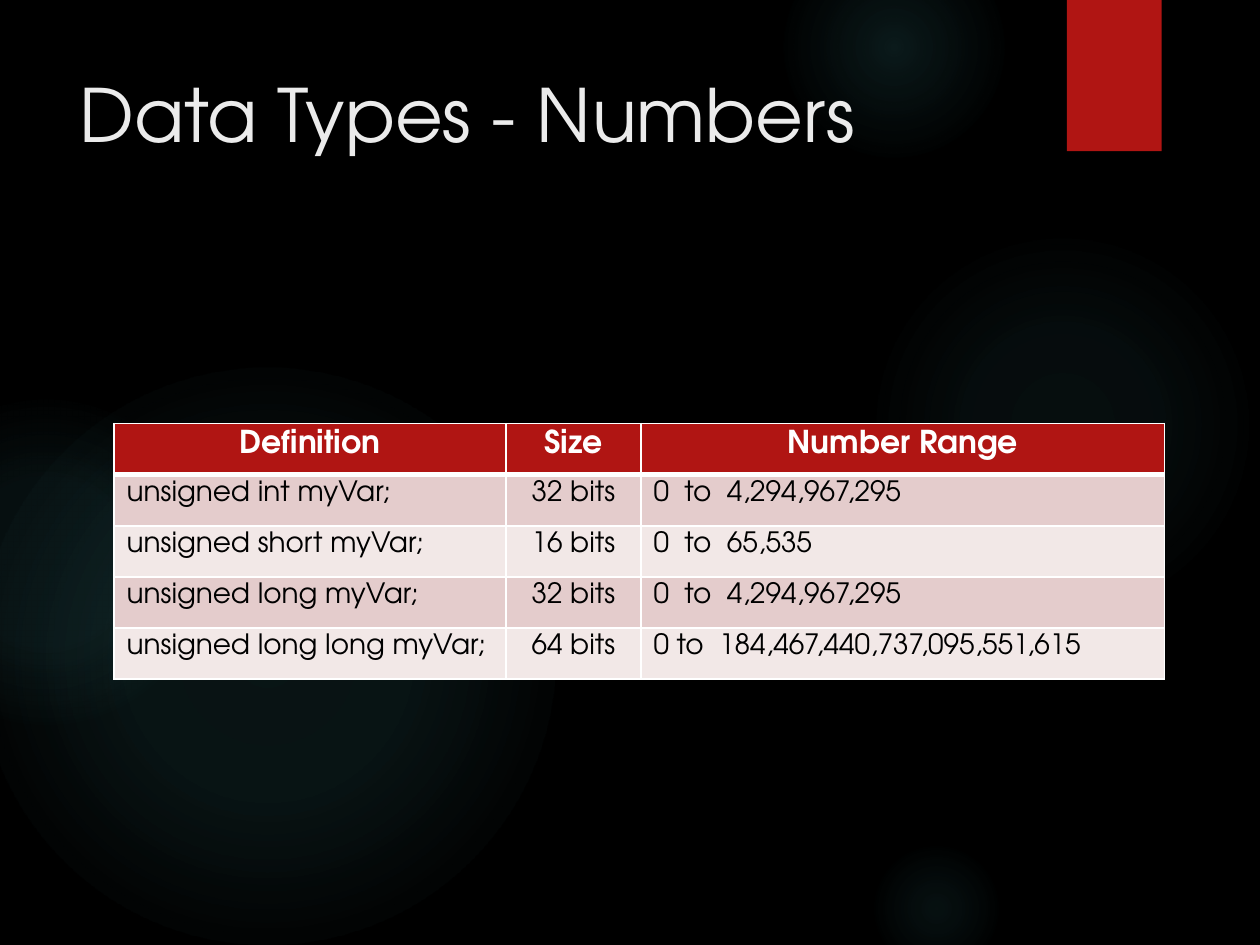
from lxml import etree
from pptx import Presentation
from pptx.dml.color import RGBColor
from pptx.enum.shapes import MSO_SHAPE
from pptx.enum.text import MSO_ANCHOR, PP_ALIGN
from pptx.oxml import parse_xml
from pptx.oxml.ns import nsdecls, qn
from pptx.util import Cm, Pt

ELLIPSE = MSO_SHAPE.OVAL
RECTANGLE = MSO_SHAPE.RECTANGLE
TOP = MSO_ANCHOR.TOP
LEFT, CENTER = PP_ALIGN.LEFT, PP_ALIGN.CENTER

COLORS = {
    "background": "000000",
    "glow": "50B9C1",
    "accent": "B01513",
    "title": "EBEBEB",
    "white": "FFFFFF",
    "body": "000000",
    "odd_row": "E4CCCC",
    "even_row": "F2E8E7",
}

GLOWS = [
    (17.5, 4.65, 7.82, [(0, 7), (36, 6), (69, 0)]),
    (15.8, -1.27, 4.45, [(0, 14), (36, 7), (73, 0)]),
    (17.5, 16.94, 2.74, [(0, 9), (36, 5), (66, 0)]),
    (-0.43, 7.42, 11.63, [(0, 11), (36, 10), (75, 0)]),
    (-2.34, 8.05, 6.55, [(0, 8), (36, 8), (72, 0)]),
]

COLUMN_WIDTHS = [7.9, 2.72, 10.55]
ROW_HEIGHT = 1.03
TABLE_ROWS = [
    ("Definition", "Size", "Number Range"),
    ("unsigned int myVar;", "32 bits", "0  to  4,294,967,295"),
    ("unsigned short myVar;", "16 bits", "0  to  65,535"),
    ("unsigned long myVar;", "32 bits", "0  to  4,294,967,295"),
    ("unsigned long long myVar;", "64 bits", "0 to  184,467,440,737,095,551,615"),
]


def rgb(name):
    return RGBColor.from_string(COLORS[name])


class SlideBuilder:
    font_name = "TeX Gyre Adventor"

    def __init__(self, slide):
        self.slide = slide
        fill = slide.background.fill
        fill.solid()
        fill.fore_color.rgb = rgb("background")

    def add_plain_shape(self, kind, left, top, width, height, color):
        shape = self.slide.shapes.add_shape(kind, Cm(left), Cm(top), Cm(width), Cm(height))
        shape.shadow.inherit = False
        shape.line.fill.background()
        shape.fill.solid()
        shape.fill.fore_color.rgb = rgb(color)
        return shape

    def add_glow(self, left, top, diameter, stops):
        shape = self.add_plain_shape(ELLIPSE, left, top, diameter, diameter, "glow")
        stop_xml = "".join(
            f'<a:gs pos="{position * 1000}"><a:srgbClr val="{COLORS["glow"]}">'
            f'<a:alpha val="{opacity * 1000}"/></a:srgbClr></a:gs>'
            for position, opacity in stops
        )
        gradient = parse_xml(
            f'<a:gradFill {nsdecls("a")} rotWithShape="1"><a:gsLst>{stop_xml}</a:gsLst>'
            '<a:path path="circle"><a:fillToRect l="50000" t="50000" r="50000" b="50000"/>'
            "</a:path></a:gradFill>"
        )
        properties = shape.element.spPr
        properties.replace(properties.find(qn("a:solidFill")), gradient)

    def add_run(self, paragraph, text, size, color, bold=False):
        run = paragraph.add_run()
        run.text = text
        run.font.name = self.font_name
        run.font.size = Pt(size)
        run.font.bold = bold
        run.font.color.rgb = rgb(color)

    def add_title(self, text, left, top, width, height):
        box = self.slide.shapes.add_textbox(Cm(left), Cm(top), Cm(width), Cm(height))
        frame = box.text_frame
        frame.word_wrap = True
        frame.vertical_anchor = TOP
        self.add_run(frame.paragraphs[0], text, 42, "title")

    def set_borders(self, cell, row_index):
        properties = cell._tc.get_or_add_tcPr()
        top_width = 3 if row_index == 1 else 1
        bottom_width = 3 if row_index == 0 else 1
        widths = {"lnL": 1, "lnR": 1, "lnT": top_width, "lnB": bottom_width}
        for tag, width in widths.items():
            line = etree.SubElement(properties, qn(f"a:{tag}"), w=str(Pt(width)))
            fill = etree.SubElement(line, qn("a:solidFill"))
            etree.SubElement(fill, qn("a:srgbClr"), val=COLORS["white"])

    def fill_cell(self, cell, text, row_index, column_index):
        header = row_index == 0
        self.set_borders(cell, row_index)
        cell.vertical_anchor = TOP
        cell.fill.solid()
        row_color = "odd_row" if row_index % 2 else "even_row"
        cell.fill.fore_color.rgb = rgb("accent" if header else row_color)
        paragraph = cell.text_frame.paragraphs[0]
        paragraph.alignment = CENTER if header or column_index == 1 else LEFT
        size, color = (18, "white") if header else (16, "body")
        self.add_run(paragraph, text, size, color, bold=header)

    def add_table(self, rows, left, top, column_widths, row_height):
        table = self.slide.shapes.add_table(
            len(rows), len(column_widths), Cm(left), Cm(top),
            Cm(sum(column_widths)), Cm(row_height * len(rows)),
        ).table
        for column, width in zip(table.columns, column_widths):
            column.width = Cm(width)
        for row_index, texts in enumerate(rows):
            table.rows[row_index].height = Cm(row_height)
            for column_index, text in enumerate(texts):
                cell = table.cell(row_index, column_index)
                self.fill_cell(cell, text, row_index, column_index)


def main():
    presentation = Presentation()
    presentation.slide_width = Cm(25.4)
    presentation.slide_height = Cm(19.05)
    builder = SlideBuilder(presentation.slides.add_slide(presentation.slide_layouts[6]))
    for glow in GLOWS:
        builder.add_glow(*glow)
    builder.add_plain_shape(RECTANGLE, 21.51, 0, 1.91, 3.05, "accent")
    builder.add_title("Data Types - Numbers", 1.35, 1.27, 19.6, 3.89)
    builder.add_table(TABLE_ROWS, 2.3, 8.54, COLUMN_WIDTHS, ROW_HEIGHT)
    presentation.save("out.pptx")


if __name__ == "__main__":
    main()
